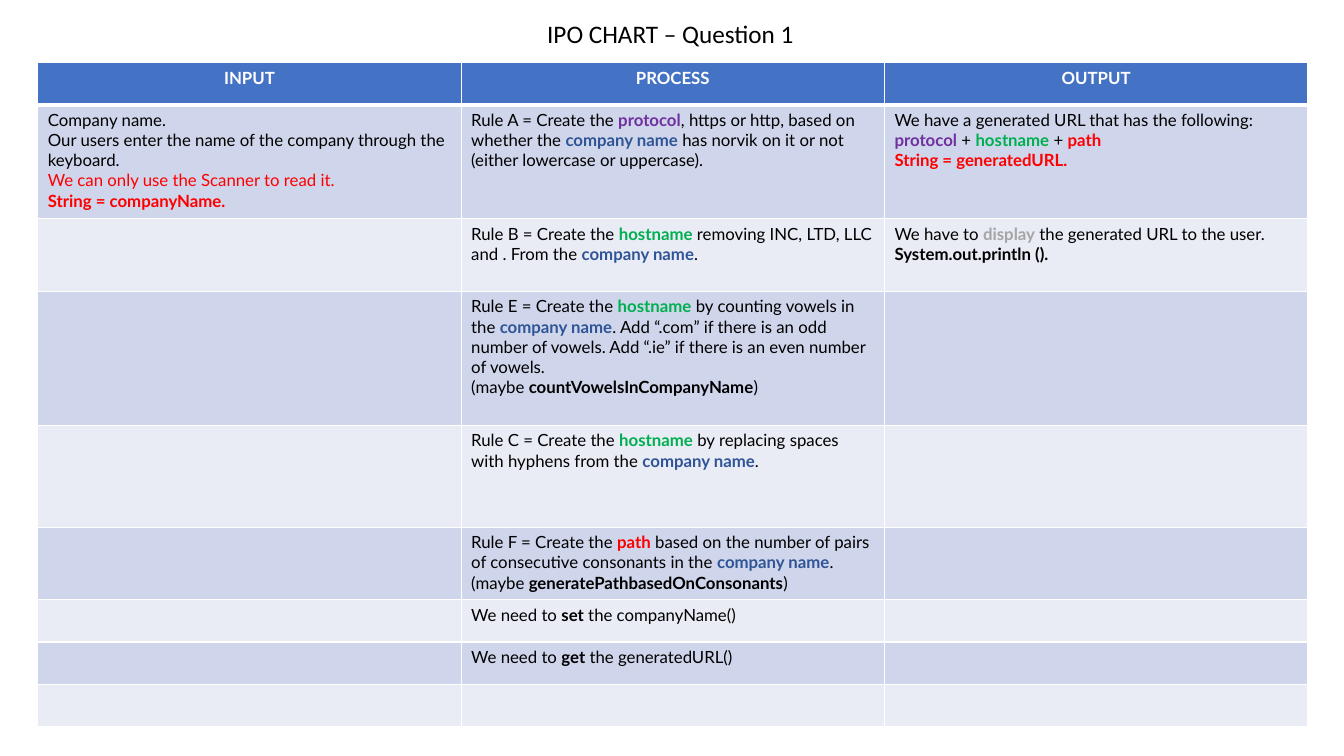
from dataclasses import dataclass

import lxml.etree
import pptx
import pptx.dml.color
import pptx.enum.text
import pptx.oxml.ns
import pptx.table
import pptx.text.text
import pptx.util

Pt = pptx.util.Pt


@dataclass(frozen=True)
class Theme:
    black: str = "000000"
    white: str = "FFFFFF"
    header: str = "4472C4"
    bands: tuple[str, str] = ("CFD5EA", "E9EBF5")
    purple: str = "7030A0"
    blue: str = "2F5597"
    green: str = "00B050"
    red: str = "FF0000"
    grey: str = "A5A5A5"
    title_font: str = "Calibri"
    table_font: str = "Lato"
    title_size: float = 18
    table_size: float = 12
    rule: float = 1
    header_rule: float = 3


THEME = Theme()


@dataclass(frozen=True)
class Span:
    text: str
    color: str = THEME.black
    bold: bool = False


Paragraph = tuple[Span, ...]
CellText = tuple[Paragraph, ...]


@dataclass(frozen=True)
class ChartRow:
    height: float
    input: CellText = ()
    process: CellText = ()
    output: CellText = ()


PROTOCOL = Span("protocol", THEME.purple, True)
HOSTNAME = Span("hostname", THEME.green, True)
PATH = Span("path", THEME.red, True)
COMPANY_NAME = Span("company name", THEME.blue, True)
STOP = Span(".")
LINE_BREAK = Span("\n")


def strong(text: str, color: str = THEME.black) -> Span:
    return Span(text, color, True)


def heading(text: str) -> CellText:
    return ((strong(text, THEME.white),),)


def maybe(method: str) -> Paragraph:
    return Span("(maybe "), strong(method), Span(")")


def accessor(verb: str, method: str) -> CellText:
    return ((Span("We need to "), strong(verb), Span(f" the {method}()")),)


SHORT_ROW = 30.24
TABLE_LEFT, TABLE_TOP, COLUMN_WIDTH = 27, 44.64, 302.4

ROWS = (
    ChartRow(SHORT_ROW, heading("INPUT"), heading("PROCESS"), heading("OUTPUT")),
    ChartRow(
        81.36,
        input=(
            (Span("Company name."),),
            (Span("Our users enter the name of the company through the keyboard."),),
            (Span("We can only use the Scanner to read it.", THEME.red),),
            (strong("String = companyName.", THEME.red),),
        ),
        process=(
            (Span("Rule A = Create the "), PROTOCOL,
             Span(", https or http, based on whether the "), COMPANY_NAME,
             Span(" has norvik on it or not (either lowercase or uppercase).")),
        ),
        output=(
            (Span("We have a generated URL that has the following: "), PROTOCOL,
             Span(" + "), HOSTNAME, Span(" + "), PATH),
            (strong("String = generatedURL.", THEME.red),),
        ),
    ),
    ChartRow(
        51.84,
        process=(
            (Span("Rule B = Create the "), HOSTNAME,
             Span(" removing INC, LTD, LLC and . From the "), COMPANY_NAME, STOP),
        ),
        output=(
            (Span("We have to "), strong("display", THEME.grey),
             Span(" the generated URL to the user.")),
            (strong("System.out.println ()."),),
        ),
    ),
    ChartRow(
        95.76,
        process=(
            (Span("Rule E = Create the "), HOSTNAME,
             Span(" by counting vowels in the "), COMPANY_NAME,
             Span(". Add “.com” if there is an odd number of vowels. "
                  "Add “.ie” if there is an even number of vowels.")),
            maybe("countVowelsInCompanyName"),
        ),
    ),
    ChartRow(
        72.72,
        process=(
            (Span("Rule C = Create the "), HOSTNAME,
             Span(" by replacing spaces with hyphens from the "), COMPANY_NAME, STOP),
        ),
    ),
    ChartRow(
        51.84,
        process=(
            (Span("Rule F = Create the "), PATH,
             Span(" based on the number of pairs of consecutive consonants in the "),
             COMPANY_NAME, STOP, LINE_BREAK, *maybe("generatePathbasedOnConsonants")),
        ),
    ),
    ChartRow(SHORT_ROW, process=accessor("set", "companyName")),
    ChartRow(SHORT_ROW, process=accessor("get", "generatedURL")),
    ChartRow(SHORT_ROW),
)


def rgb(color: str) -> pptx.dml.color.RGBColor:
    return pptx.dml.color.RGBColor.from_string(color)


def write_paragraph(paragraph: pptx.text.text._Paragraph, spans: Paragraph,
                    font: str, size: float) -> None:
    for span in spans:
        if span == LINE_BREAK:
            paragraph.add_line_break()
            continue
        run = paragraph.add_run()
        run.text = span.text
        run.font.name = font
        run.font.size = Pt(size)
        run.font.bold = span.bold
        run.font.color.rgb = rgb(span.color)


def add_borders(cell: pptx.table._Cell, top: float, bottom: float) -> None:
    """Draw white cell borders; call before the fill, which must follow them."""
    qn = pptx.oxml.ns.qn
    properties = cell._tc.get_or_add_tcPr()
    widths = {"lnL": THEME.rule, "lnR": THEME.rule, "lnT": top, "lnB": bottom}
    for side, width in widths.items():
        line = lxml.etree.SubElement(properties, qn(f"a:{side}"), w=str(Pt(width)))
        solid = lxml.etree.SubElement(line, qn("a:solidFill"))
        lxml.etree.SubElement(solid, qn("a:srgbClr"), val=THEME.white)


def fill_cell(cell: pptx.table._Cell, text: CellText, row_index: int) -> None:
    is_header = row_index == 0
    add_borders(cell,
                top=THEME.header_rule if row_index == 1 else THEME.rule,
                bottom=THEME.header_rule if is_header else THEME.rule)
    cell.fill.solid()
    cell.fill.fore_color.rgb = rgb(
        THEME.header if is_header else THEME.bands[(row_index - 1) % 2])
    frame = cell.text_frame
    for index, spans in enumerate(text):
        paragraph = frame.add_paragraph() if index else frame.paragraphs[0]
        if is_header:
            paragraph.alignment = pptx.enum.text.PP_ALIGN.CENTER
        write_paragraph(paragraph, spans, THEME.table_font, THEME.table_size)


def main() -> None:
    deck = pptx.Presentation()
    deck.slide_width, deck.slide_height = Pt(960), Pt(540)
    slide = deck.slides.add_slide(deck.slide_layouts[6])

    ipo_chart = slide.shapes.add_table(
        len(ROWS), 3, Pt(TABLE_LEFT), Pt(TABLE_TOP),
        Pt(3 * COLUMN_WIDTH), Pt(sum(row.height for row in ROWS))).table
    for column in ipo_chart.columns:
        column.width = Pt(COLUMN_WIDTH)
    for row_index, row in enumerate(ROWS):
        ipo_chart.rows[row_index].height = Pt(row.height)
        for column_index, text in enumerate((row.input, row.process, row.output)):
            fill_cell(ipo_chart.cell(row_index, column_index), text, row_index)

    title = slide.shapes.add_textbox(Pt(383.76), Pt(9.5), Pt(193), Pt(29)).text_frame
    title.word_wrap = False
    title.auto_size = pptx.enum.text.MSO_AUTO_SIZE.SHAPE_TO_FIT_TEXT
    write_paragraph(title.paragraphs[0], (Span("IPO CHART – Question 1"),),
                    THEME.title_font, THEME.title_size)
    deck.save("out.pptx")


if __name__ == "__main__":
    main()
